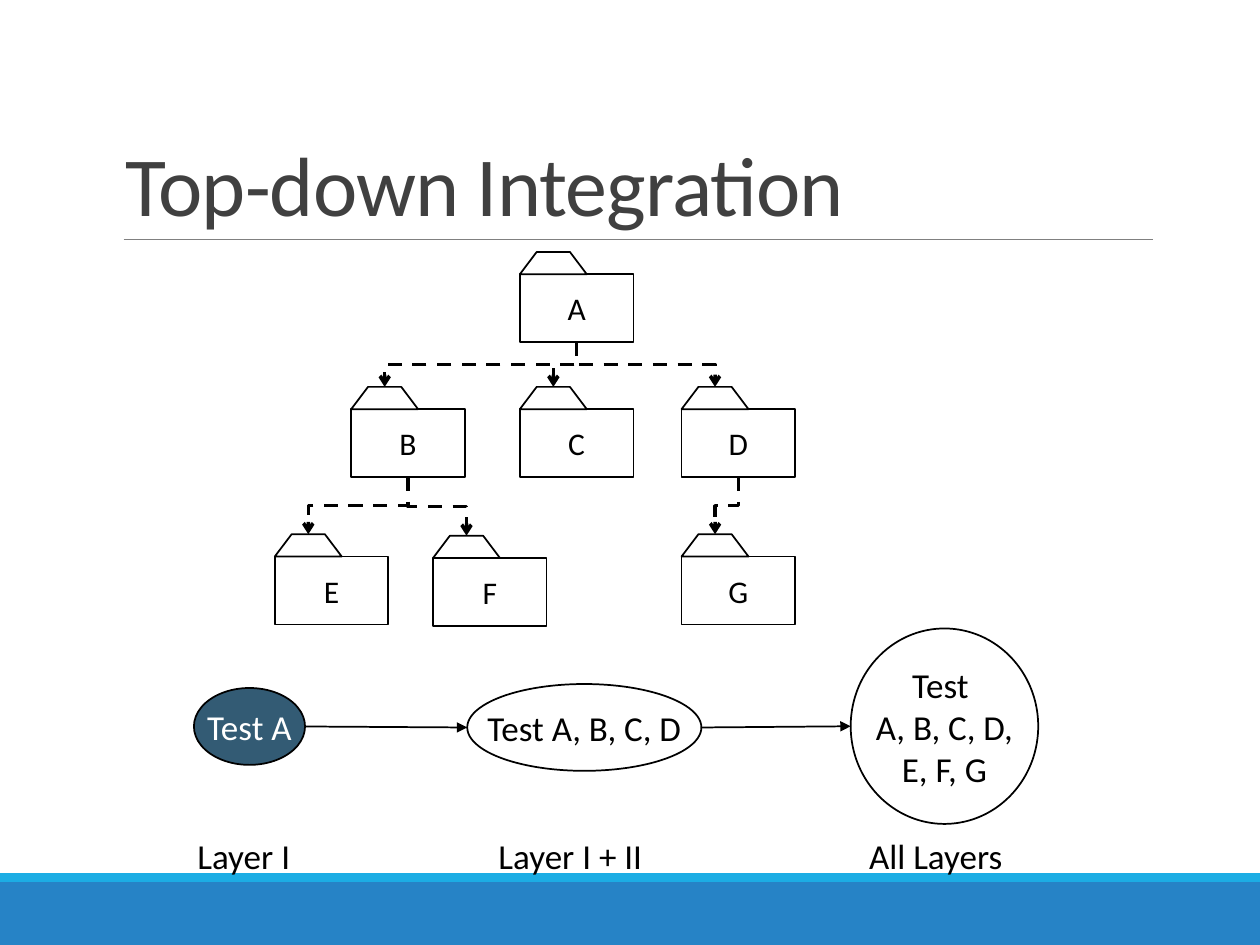
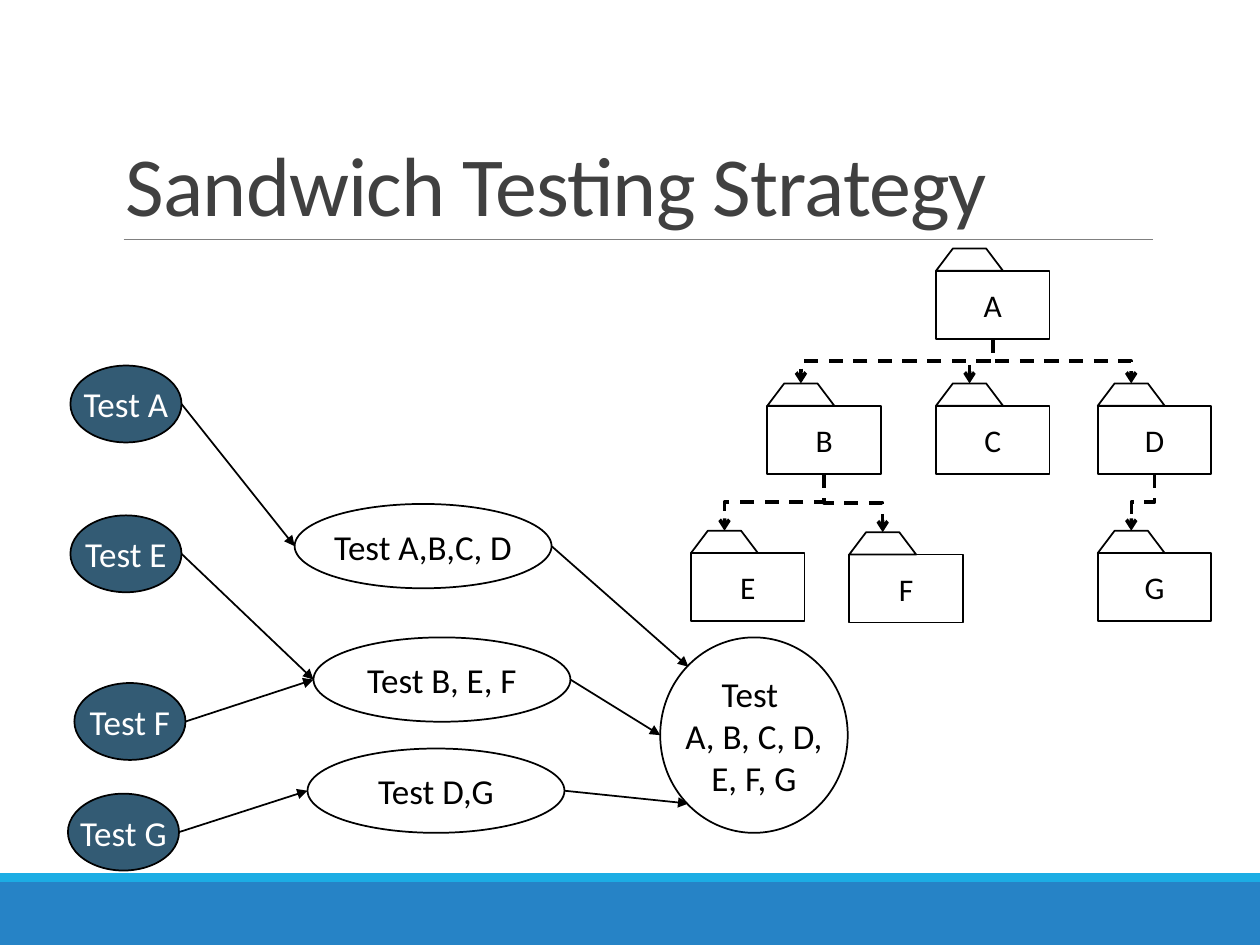
from lxml import etree
from pptx import Presentation
from pptx.dml.color import RGBColor
from pptx.enum.dml import MSO_LINE
from pptx.enum.shapes import MSO_CONNECTOR, MSO_SHAPE
from pptx.enum.text import MSO_ANCHOR, MSO_AUTO_SIZE, PP_ALIGN
from pptx.oxml.ns import qn
from pptx.util import Cm, Pt

RECT, OVAL = MSO_SHAPE.RECTANGLE, MSO_SHAPE.OVAL
STRAIGHT, ELBOW = MSO_CONNECTOR.STRAIGHT, MSO_CONNECTOR.ELBOW
DASH = MSO_LINE.DASH
LEFT, CENTER = PP_ALIGN.LEFT, PP_ALIGN.CENTER
TOP, MIDDLE, BOTTOM = MSO_ANCHOR.TOP, MSO_ANCHOR.MIDDLE, MSO_ANCHOR.BOTTOM
FIT_SHAPE = MSO_AUTO_SIZE.SHAPE_TO_FIT_TEXT

COLORS = {"band": "2683C6", "stripe": "1CADE4", "rule": "808080", "title": "404040",
          "tested": "335B74", "black": "000000", "white": "FFFFFF"}
RGB = {name: RGBColor.from_string(value) for name, value in COLORS.items()}
FONT = "Calibri"

BANDS = [("band", 17.78, 1.27), ("stripe", 17.6, 0.18)]

# Package tree: offsets from package A, and who uses whom
PACKAGES = {"A": (0, 0), "B": (-3.4, 2.72), "C": (0, 2.72), "D": (3.26, 2.72),
            "E": (-4.94, 5.69), "F": (-1.75, 5.72), "G": (3.26, 5.69)}
USES = ["AB", "BE", "BF", "DG", "AC", "AD"]
PACK_W, PACK_H = 2.29, 1.37
TAB_W, TAB_H, TAB_SLOPE = 1.35, 0.45, 0.34

# Test sizes by kind, and where an arrow meets a test (fractions of its box)
SIZES = {"unit": (2.24, 1.55), "layer": (4.72, 1.75), "group": (5.18, 1.7),
         "all": (3.78, 3.94)}
SIDE, UPPER, LOWER = (0, 0.5), (0.15, 0.15), (0.15, 0.85)
ALL_TEXT = "Test \nA, B, C, D,\nE, F, G"

SLIDES = [
    {"title": "Top-down Integration",
     "tree": (10.48, 5.53),
     "tests": {"A": ("unit", 3.91, 13.87, "Test A"),
               "ABCD": ("layer", 9.42, 13.79, "Test A, B, C, D"),
               "all": ("all", 17.15, 12.67, ALL_TEXT)},
     "arrows": [("A", "ABCD", SIDE), ("ABCD", "all", SIDE)],
     "labels": [(3.73, 2.77, "Layer I"), (9.8, 4.06, "Layer I + II"),
                (17.27, 3.66, "All Layers")]},
    {"title": "Sandwich Testing Strategy",
     "tree": (18.87, 5.46),
     "tests": {"A": ("unit", 1.42, 7.37, "Test A"),
               "E": ("unit", 1.42, 10.39, "Test E"),
               "F": ("unit", 1.5, 13.77, "Test F"),
               "G": ("unit", 1.37, 16, "Test G"),
               "ABCD": ("group", 5.94, 10.16, "Test A,B,C, D"),
               "BEF": ("group", 6.32, 12.85, "Test B, E, F"),
               "DG": ("group", 6.2, 15.09, "Test D,G"),
               "all": ("all", 13.31, 12.85, ALL_TEXT)},
     "arrows": [("A", "ABCD", SIDE), ("E", "BEF", SIDE), ("F", "BEF", SIDE),
                ("G", "DG", SIDE), ("ABCD", "all", UPPER), ("BEF", "all", SIDE),
                ("DG", "all", LOWER)],
     "labels": []},
]


def dress(sp, fill=None, line=None, text="", size=20, color="black",
          align=CENTER, anchor=MIDDLE, wrap=False):
    """Give a shape or text box its fill, outline and text."""
    sp.shadow.inherit = False
    for part, name in ((sp.fill, fill), (sp.line.fill, line)):
        if name:
            part.solid()
            part.fore_color.rgb = RGB[name]
        else:
            part.background()
    if line:
        sp.line.width = Pt(1)
    if not text:
        return
    tf = sp.text_frame
    tf.word_wrap, tf.vertical_anchor = wrap, anchor
    tf.text = text
    for p in tf.paragraphs:
        p.alignment = align
        for r in p.runs:
            for key, value in {"name": FONT, "size": Pt(size)}.items():
                setattr(r.font, key, value)
            r.font.color.rgb = RGB[color]


def add_line(s, kind, points, width, color="black", head=None):
    cx = s.shapes.add_connector(kind, *[Cm(v) for v in points])
    cx.line.color.rgb = RGB[color]
    cx.line.width = Pt(width)
    if kind == ELBOW:
        cx.line.dash_style = DASH
    sp_pr = cx._element.spPr
    if head:
        etree.SubElement(sp_pr.find(qn("a:ln")), qn("a:tailEnd"), type=head)
    etree.SubElement(sp_pr, qn("a:effectLst"))
    return cx


prs = Presentation()
prs.slide_width, prs.slide_height = Cm(25.4), Cm(19.05)

for content in SLIDES:
    s = prs.slides.add_slide(prs.slide_layouts[6])

    # Frame and title
    for name, top, height in BANDS:
        dress(s.shapes.add_shape(RECT, 0, Cm(top), prs.slide_width, Cm(height)), fill=name)
    add_line(s, STRAIGHT, (2.49, 4.83, 23.24, 4.83), 0.5, "rule")
    title = s.shapes.add_textbox(Cm(2.29), Cm(0.79), Cm(20.96), Cm(4.04))
    dress(title, text=content["title"], size=48, color="title", align=LEFT,
          anchor=BOTTOM, wrap=True)
    p = title.text_frame.paragraphs[0]
    p.line_spacing = 0.85
    p.runs[0].font._element.set("spc", "-50")

    # Tests and the order they run in
    boxes = {}
    for key, (kind, left, top, text) in content["tests"].items():
        boxes[key] = (left, top, *SIZES[kind])
        sp = s.shapes.add_shape(OVAL, *[Cm(v) for v in boxes[key]])
        unit = kind == "unit"
        dress(sp, "tested" if unit else None, "black", text,
              color="white" if unit else "black")
    for source, target, (fx, fy) in content["arrows"]:
        x, y, w, h = boxes[source]
        tx, ty, tw, th = boxes[target]
        add_line(s, STRAIGHT, (x + w, y + h / 2, tx + fx * tw, ty + fy * th), 1,
                 head="triangle")
    for left, width, text in content["labels"]:
        sp = s.shapes.add_textbox(Cm(left), Cm(16.69), Cm(width), Cm(1.09))
        dress(sp, text=text, align=LEFT, anchor=TOP)
        sp.text_frame.auto_size = FIT_SHAPE

    # Dependencies: elbows turned to leave downwards, mirrored when heading right
    ox, oy = content["tree"]
    spots = {name: (ox + dx, oy + dy) for name, (dx, dy) in PACKAGES.items()}
    for parent, child in USES:
        x1, y1 = spots[parent][0] + PACK_W / 2, spots[parent][1] + PACK_H
        x2, y2 = spots[child][0] + TAB_W / 2, spots[child][1] - TAB_H
        mx, my = (x1 + x2) / 2, (y1 + y2) / 2
        rightward = x2 > x1
        half_w = (y2 - y1) / 2 * (-1 if rightward else 1)
        half_h = abs(x2 - x1) / 2
        cx = add_line(s, ELBOW, (mx - half_w, my - half_h, mx + half_w, my + half_h), 2,
                      head="arrow")
        xfrm = cx._element.spPr.find(qn("a:xfrm"))
        xfrm.set("rot", str((270 if rightward else 90) * 60000))

    # Packages
    for name, (x, y) in spots.items():
        sp = s.shapes.add_shape(RECT, Cm(x), Cm(y), Cm(PACK_W), Cm(PACK_H))
        dress(sp, "white", "black", name, size=18)
        tab = s.shapes.build_freeform(Cm(x), Cm(y))
        tab.add_line_segments([(Cm(x + TAB_SLOPE), Cm(y - TAB_H)),
                               (Cm(x + TAB_W - TAB_SLOPE), Cm(y - TAB_H)),
                               (Cm(x + TAB_W), Cm(y))], close=True)
        dress(tab.convert_to_shape(), "white", "black")

prs.save("out.pptx")
